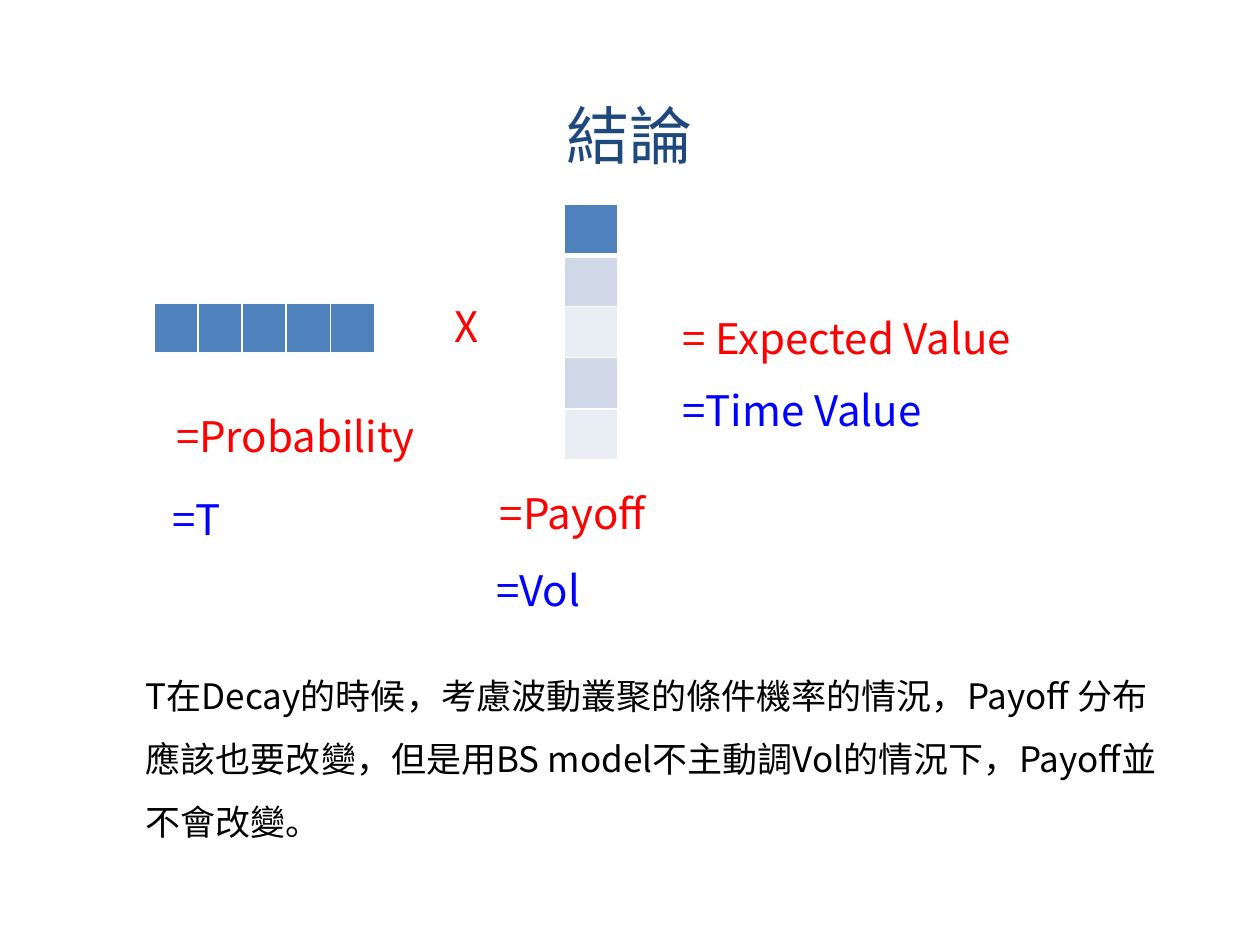
from lxml.etree import SubElement
from pptx import Presentation
from pptx.dml.color import RGBColor
from pptx.enum.text import MSO_ANCHOR, PP_ALIGN
from pptx.oxml.ns import qn
from pptx.util import Cm, Pt

RED = RGBColor(0xFF, 0x00, 0x00)
BLUE = RGBColor(0x00, 0x00, 0xFF)
BLACK = RGBColor(0x00, 0x00, 0x00)
NAVY = RGBColor(0x1F, 0x49, 0x7D)
WHITE = RGBColor(0xFF, 0xFF, 0xFF)
HEADER = RGBColor(0x4F, 0x81, 0xBD)
BAND_DARK = RGBColor(0xD0, 0xD8, 0xE8)
BAND_LIGHT = RGBColor(0xE9, 0xED, 0xF4)
FONT = "Noto Sans CJK TC"

TITLE = "結論"
CONCLUSION = ("T在Decay的時候，考慮波動叢聚的條件機率的情況，Payoff 分布應該也要改變，"
              "但是用BS model不主動調Vol的情況下，Payoff並不會改變。")

# Labels: text, colour, left, top, width (cm)
LABELS = [
    ("X", RED, 8.71, 5.31, 1.85),
    ("= Expected Value", RED, 13.31, 5.54, 9.6),
    ("=Probability", RED, 3.1, 7.52, 6.2),
    ("=Payoff", RED, 9.63, 9.07, 6.2),
    ("=T", BLUE, 3.02, 9.19, 2.9),
    ("=Vol", BLUE, 9.55, 10.62, 3.56),
    ("=Time Value", BLUE, 13.31, 6.99, 6.1),
]
LABEL_HEIGHT = 2.21

# Vectors: rows of cell fills, left, top, cell width (cm)
VECTORS = [
    ([[HEADER] * 5], 3.1, 6.12, 0.89),
    ([[HEADER], [BAND_DARK], [BAND_LIGHT], [BAND_DARK], [BAND_LIGHT]],
     11.38, 4.12, 1.07),
]
CELL_HEIGHT = 1.03


def add_text(page, text, color, size, left, top, width, height, latin=FONT):
    box = page.shapes.add_textbox(Cm(left), Cm(top), Cm(width), Cm(height))
    frame = box.text_frame
    frame.word_wrap = True
    frame.margin_left = frame.margin_right = Cm(0.25)
    frame.margin_top = frame.margin_bottom = Cm(0.25)
    para = frame.paragraphs[0]
    para.text = text
    para.font.name = latin
    para.font.size = Pt(size)
    para.font.color.rgb = color
    # East Asian typeface
    defaults = para._p.get_or_add_pPr().find(qn("a:defRPr"))
    SubElement(defaults, qn("a:ea"), typeface=FONT)
    return frame


def add_body(page, *args):
    para = add_text(page, *args).paragraphs[0]
    para.line_spacing = 1.5
    para.space_before = Pt(6)
    para._p.get_or_add_pPr().set("marL", str(Cm(0.2)))


def add_border(cell, side, points):
    line = SubElement(cell._tc.get_or_add_tcPr(), qn(f"a:ln{side}"), w=str(Pt(points)))
    fill = SubElement(line, qn("a:solidFill"))
    SubElement(fill, qn("a:srgbClr"), val=str(WHITE))


def add_vector(page, fills, left, top, cell_width):
    rows, columns = len(fills), len(fills[0])
    table = page.shapes.add_table(
        rows, columns, Cm(left), Cm(top),
        Cm(cell_width * columns), Cm(CELL_HEIGHT * rows)).table
    table.horz_banding = False
    for row_number, row in enumerate(fills):
        for column_number, color in enumerate(row):
            cell = table.cell(row_number, column_number)
            cell.margin_top = cell.margin_bottom = 0
            for side in "LRTB":
                # A thick rule closes the header row
                thick = (side == "B" and row_number == 0) or (side == "T" and row_number == 1)
                add_border(cell, side, 3 if thick else 1)
            cell.fill.solid()
            cell.fill.fore_color.rgb = color


def main():
    deck = Presentation()
    deck.slide_width, deck.slide_height = Cm(25.4), Cm(19.05)
    page = deck.slides.add_slide(deck.slide_layouts[6])

    # Title
    title = add_text(page, TITLE, NAVY, 36, 2.18, 1.14, 21.03, 2.59, "Arial")
    title.vertical_anchor = MSO_ANCHOR.BOTTOM
    title.paragraphs[0].alignment = PP_ALIGN.CENTER

    # Probability and payoff vectors with their labels
    for vector in VECTORS:
        add_vector(page, *vector)
    for text, color, left, top, width in LABELS:
        add_body(page, text, color, 24, left, top, width, LABEL_HEIGHT)

    # Conclusion
    add_body(page, CONCLUSION, BLACK, 20, 2.49, 12.93, 21.21, 4.39)
    deck.save("out.pptx")


if __name__ == "__main__":
    main()
